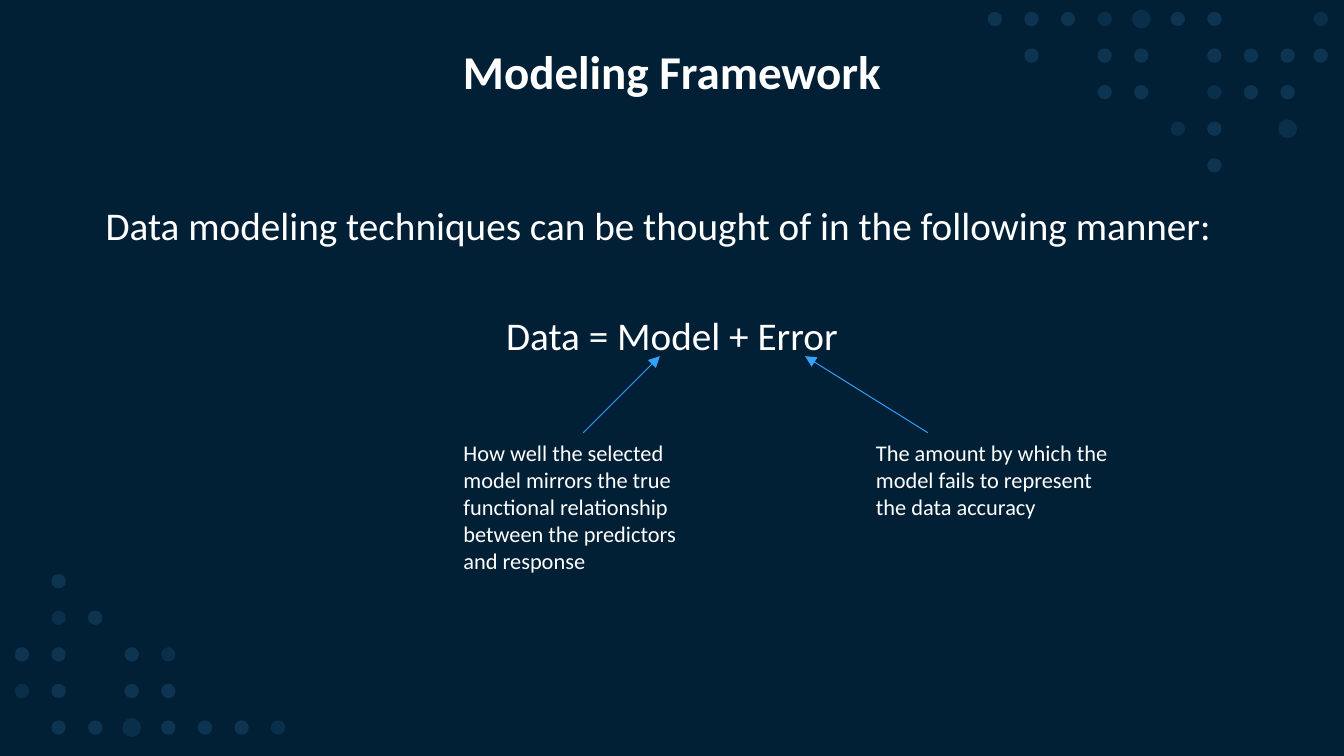
from dataclasses import dataclass

from lxml import etree
from pptx import Presentation
from pptx.dml.color import RGBColor
from pptx.enum.shapes import MSO_CONNECTOR, MSO_SHAPE
from pptx.enum.text import MSO_ANCHOR, PP_ALIGN
from pptx.oxml.ns import qn
from pptx.util import Pt

OVAL = MSO_SHAPE.OVAL
STRAIGHT = MSO_CONNECTOR.STRAIGHT
MIDDLE = MSO_ANCHOR.MIDDLE
TOP = MSO_ANCHOR.TOP
LEFT = PP_ALIGN.LEFT
CENTER = PP_ALIGN.CENTER


@dataclass(frozen=True)
class Theme:
    font: str = "Calibri"
    background: RGBColor = RGBColor(0x01, 0x20, 0x36)
    text: RGBColor = RGBColor(0xFF, 0xFF, 0xFF)
    dot: RGBColor = RGBColor(0x5C, 0xB5, 0xFF)
    arrow: RGBColor = RGBColor(0x33, 0xA3, 0xFF)
    title_size: float = 25.2
    body_size: float = 21
    note_size: float = 12


THEME = Theme()
DOT_PITCH = 19.6
DOT_STYLES = {"o": (7.7, 14), "f": (7.7, 10), "F": (10.1, 10)}

TOP_DOTS = ["ooofFoo", ".o.oo.ooo", "...oo.foo", ".....fo.F", "......o"]
EDGE_DOTS = ["f", "o"]
BOTTOM_DOTS = [".o", ".fo", "oo.of", "fo.oo", ".ooFooof"]


def add_dot(s, x, y, size, opacity):
    sp = s.shapes.add_shape(OVAL, Pt(x - size / 2), Pt(y - size / 2), Pt(size), Pt(size))
    sp.shadow.inherit = False
    sp.line.fill.background()
    sp.fill.solid()
    sp.fill.fore_color.rgb = THEME.dot
    color = sp._element.spPr.find(qn("a:solidFill"))[0]
    etree.SubElement(color, qn("a:alpha"), val=str(opacity * 1000))


def add_dot_grid(s, x, y, rows):
    for i, row in enumerate(rows):
        for j, mark in enumerate(row):
            if mark in DOT_STYLES:
                add_dot(s, x + j * DOT_PITCH, y + i * DOT_PITCH, *DOT_STYLES[mark])


def add_text(s, box, lines, size, align=LEFT, anchor=TOP, spacing=1.0, bold=False):
    tf = s.shapes.add_textbox(*map(Pt, box)).text_frame
    tf.word_wrap = True
    tf.vertical_anchor = anchor
    for i, line in enumerate(lines):
        p = tf.add_paragraph() if i else tf.paragraphs[0]
        p.text = line
        p.alignment = align
        p.line_spacing = spacing
        p.font.name = THEME.font
        p.font.size = Pt(size)
        p.font.bold = bold
        p.font.color.rgb = THEME.text
    return tf


def add_title(s, box):
    add_text(s, box, ["Modeling Framework"], THEME.title_size, CENTER, MIDDLE, 0.9, True)


def add_body(s, box):
    lines = [
        "Data modeling techniques can be thought of in the following manner:",
        "Data = Model + Error",
    ]
    tf = add_text(s, box, lines, THEME.body_size, spacing=0.85)
    equation = tf.paragraphs[1]
    equation.alignment = CENTER
    equation.space_before = Pt(37.6)


def add_callout(s, box, text, start_x, target):
    add_text(s, box, [text], THEME.note_size)
    arrow = s.shapes.add_connector(STRAIGHT, *map(Pt, (start_x, box[1], *target)))
    arrow.line.color.rgb = THEME.arrow
    arrow.line.width = Pt(0.5)
    etree.SubElement(arrow.line._get_or_add_ln(), qn("a:tailEnd"), type="triangle")
    etree.SubElement(arrow._element.spPr, qn("a:effectLst"))


def build_slide(prs):
    s = prs.slides.add_slide(prs.slide_layouts[6])
    s.background.fill.solid()
    s.background.fill.fore_color.rgb = THEME.background
    add_dot_grid(s, 533, 10.2, TOP_DOTS)
    add_dot_grid(s, 707.6, 10.2, EDGE_DOTS)
    add_dot_grid(s, 11.8, 311.4, BOTTOM_DOTS)
    add_title(s, (49.5, 21.6, 621, 36))
    add_body(s, (49.5, 108, 621, 99.4))
    add_callout(
        s, (241.2, 231.8, 141.8, 80),
        "How well the selected model mirrors the true functional relationship "
        "between the predictors and response",
        312.5, (353.5, 190.8),
    )
    add_callout(
        s, (462.2, 231.8, 141.8, 51),
        "The amount by which the model fails to represent the data accuracy",
        497, (431.3, 190.8),
    )


def main():
    prs = Presentation()
    prs.slide_width = Pt(720)
    prs.slide_height = Pt(405)
    build_slide(prs)
    prs.save("out.pptx")


if __name__ == "__main__":
    main()
